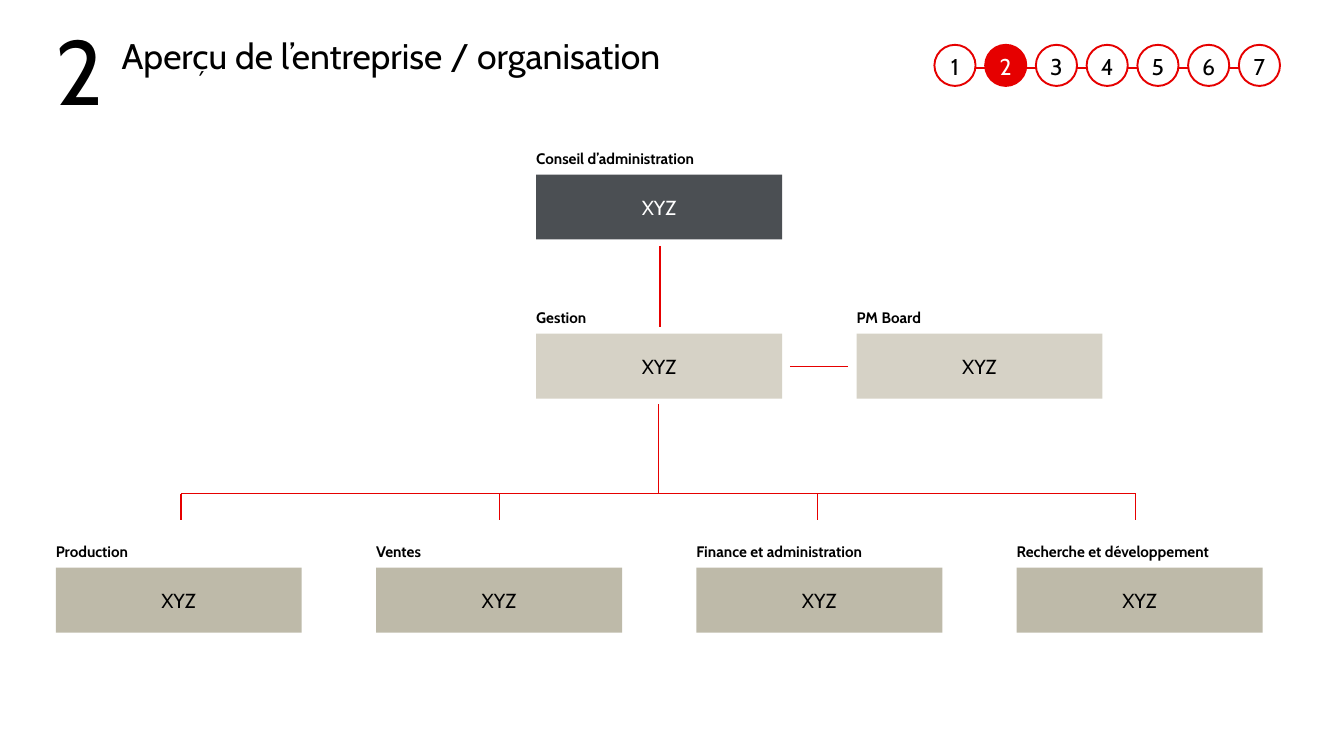
import pptx
import pptx.dml.color
import pptx.enum.shapes
import pptx.enum.text
import pptx.oxml.xmlchemy
import pptx.util

Inches = pptx.util.Inches
RGB = pptx.dml.color.RGBColor.from_string
ALIGN = pptx.enum.text.PP_ALIGN
ANCHOR = pptx.enum.text.MSO_ANCHOR
SHAPE = pptx.enum.shapes.MSO_SHAPE

THEME = {
    "font": "Cabin",
    "red": "E60000", "black": "000000", "white": "FFFFFF",
    "dark": "4B4F53", "light": "D6D2C6", "sand": "BEBAA9",
    "number": 72, "title": 28, "step": 18, "box": 16, "label": 12,
}


def write(s, text, size, color="black", align=ALIGN.LEFT, anchor=ANCHOR.TOP,
          bold=False, top=0, spacing=None):
    """Put one formatted paragraph into a shape."""
    tf = s.text_frame
    frame = {"word_wrap": True, "auto_size": pptx.enum.text.MSO_AUTO_SIZE.NONE,
             "vertical_anchor": anchor, "margin_left": 0, "margin_right": 0,
             "margin_top": Inches(top), "margin_bottom": 0}
    for name, value in frame.items():
        setattr(tf, name, value)
    p = tf.paragraphs[0]
    p.alignment = align
    if spacing is not None:
        p.line_spacing = spacing
    r = p.add_run()
    r.text = text
    font = {"name": THEME["font"], "size": pptx.util.Pt(THEME[size]), "bold": bold}
    for name, value in font.items():
        setattr(r.font, name, value)
    r.font.color.rgb = RGB(THEME[color])


def add_line(x1, y1, x2, y2, width=1):
    """Draw a red straight line without shadow."""
    line = slide.shapes.add_connector(
        pptx.enum.shapes.MSO_CONNECTOR.STRAIGHT,
        Inches(x1), Inches(y1), Inches(x2), Inches(y2))
    line.line.color.rgb = RGB(THEME["red"])
    line.line.width = pptx.util.Pt(width)
    line._element.spPr.append(pptx.oxml.xmlchemy.OxmlElement("a:effectLst"))


prs = pptx.Presentation()
prs.slide_width, prs.slide_height = Inches(14.7), Inches(8.27)
slide = prs.slides.add_slide(prs.slide_layouts[5])

# Title and chapter number
title = slide.shapes.title
title.left, title.top = Inches(1.33), Inches(0.42)
title.width, title.height = Inches(8.61), Inches(0.53)
write(title, "Aperçu de l’entreprise / organisation", "title", spacing=0.9)
number = slide.shapes.add_textbox(Inches(0.61), Inches(0.13), Inches(0.72), Inches(1.23))
write(number, "2", "number", anchor=ANCHOR.BOTTOM, spacing=pptx.util.Pt(28))

# Chapter tracker
add_line(10.45, 0.74, 13.73, 0.74, 1.5)
STEPS, CURRENT = 7, 2
step_pitch = (13.55 - 10.22) / (STEPS - 1)
for step in range(1, STEPS + 1):
    active = step == CURRENT
    s = slide.shapes.add_shape(
        SHAPE.OVAL, Inches(10.22 + (step - 1) * step_pitch), Inches(0.49),
        Inches(0.45), Inches(0.45))
    s.shadow.inherit = False
    s.fill.solid()
    s.fill.fore_color.rgb = RGB(THEME["red" if active else "white"])
    s.line.color.rgb = RGB(THEME["red"])
    s.line.width = pptx.util.Pt(1.5)
    write(s, str(step), "step", "white" if active else "black", ALIGN.CENTER, top=0.02)

# Organisation units: label, column, top, fill, text colour
LEFT, PITCH = 0.61, 10.51 / 3
BOX_W, BOX_H = 2.69, 0.71
units = [
    ("Conseil d’administration", 1.5, 1.91, "dark", "white"),
    ("Gestion", 1.5, 3.65, "light", "black"),
    ("PM Board", 2.5, 3.65, "light", "black"),
    ("Production", 0, 6.21, "sand", "black"),
    ("Ventes", 1, 6.21, "sand", "black"),
    ("Finance et administration", 2, 6.21, "sand", "black"),
    ("Recherche et développement", 3, 6.21, "sand", "black"),
]
for label, column, top, fill, color in units:
    left = Inches(LEFT + column * PITCH)
    s = slide.shapes.add_shape(
        SHAPE.RECTANGLE, left, Inches(top), Inches(BOX_W), Inches(BOX_H))
    s.shadow.inherit = False
    s.fill.solid()
    s.fill.fore_color.rgb = RGB(THEME[fill])
    s.line.fill.background()
    write(s, "XYZ", "box", color, ALIGN.CENTER, ANCHOR.MIDDLE)
    s = slide.shapes.add_textbox(left, Inches(top - 0.28), Inches(2.35), Inches(0.25))
    write(s, label, "label", bold=True)

# Lines between the levels
BUS_Y, BUS_LEFT, DROP_PITCH = 5.4, 1.98, 3.48
add_line(7.22, 2.69, 7.22, 3.58)
add_line(8.64, 4.01, 9.27, 4.01)
add_line(7.2, 4.42, 7.2, BUS_Y)
add_line(BUS_LEFT, BUS_Y, BUS_LEFT + 3 * DROP_PITCH, BUS_Y)
for i in range(4):
    x = BUS_LEFT + i * DROP_PITCH
    add_line(x, BUS_Y, x, 5.69)

prs.save("out.pptx")
